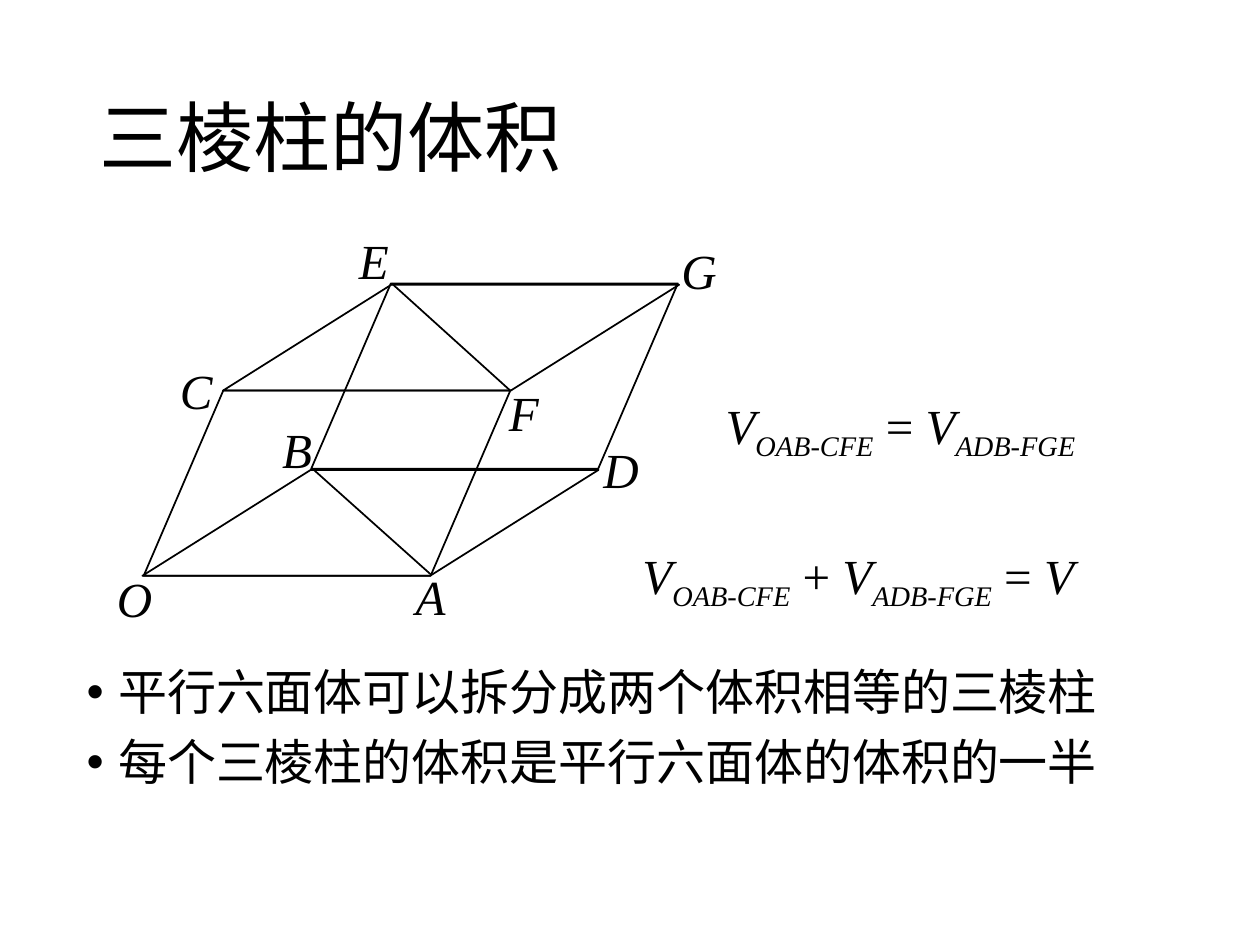
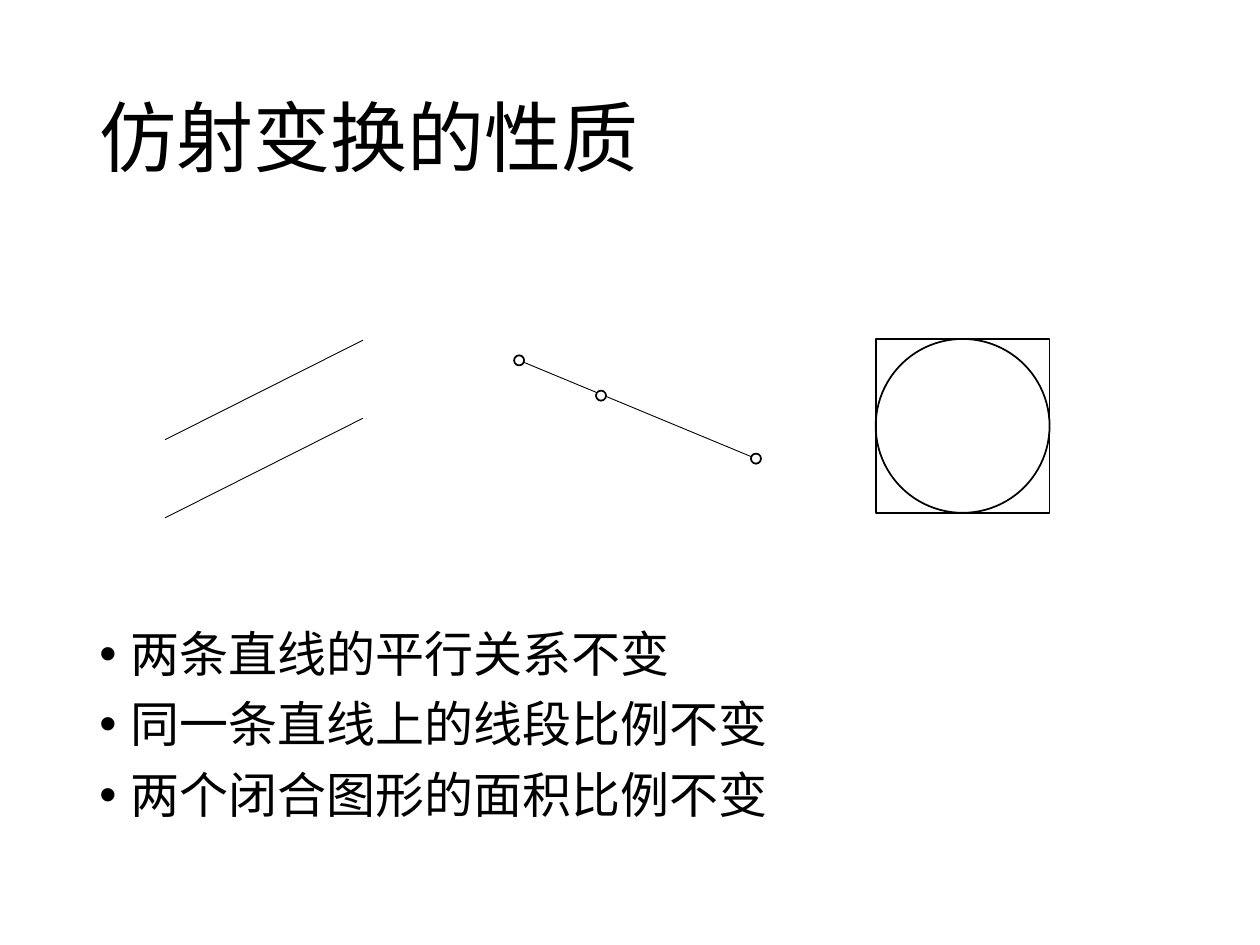
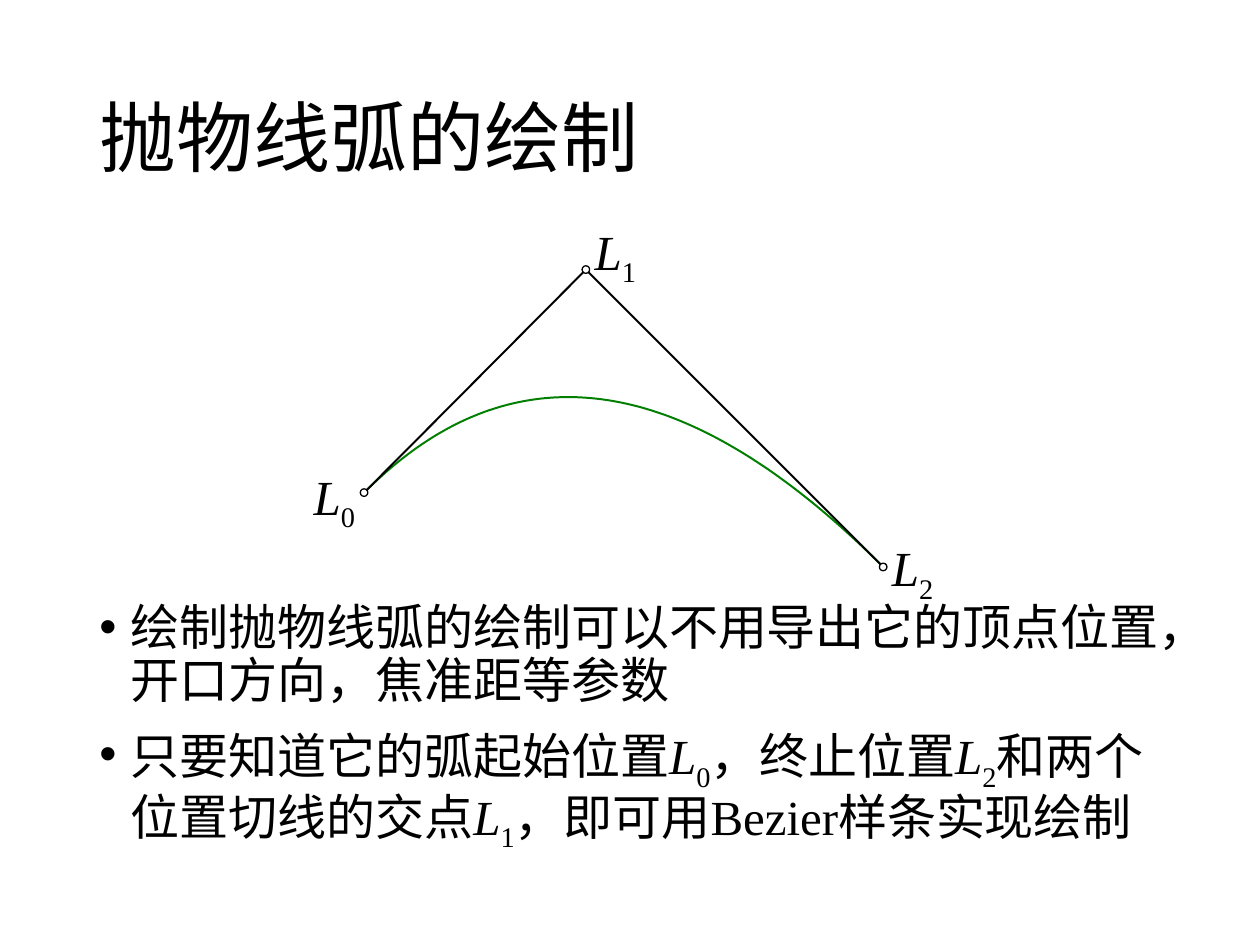
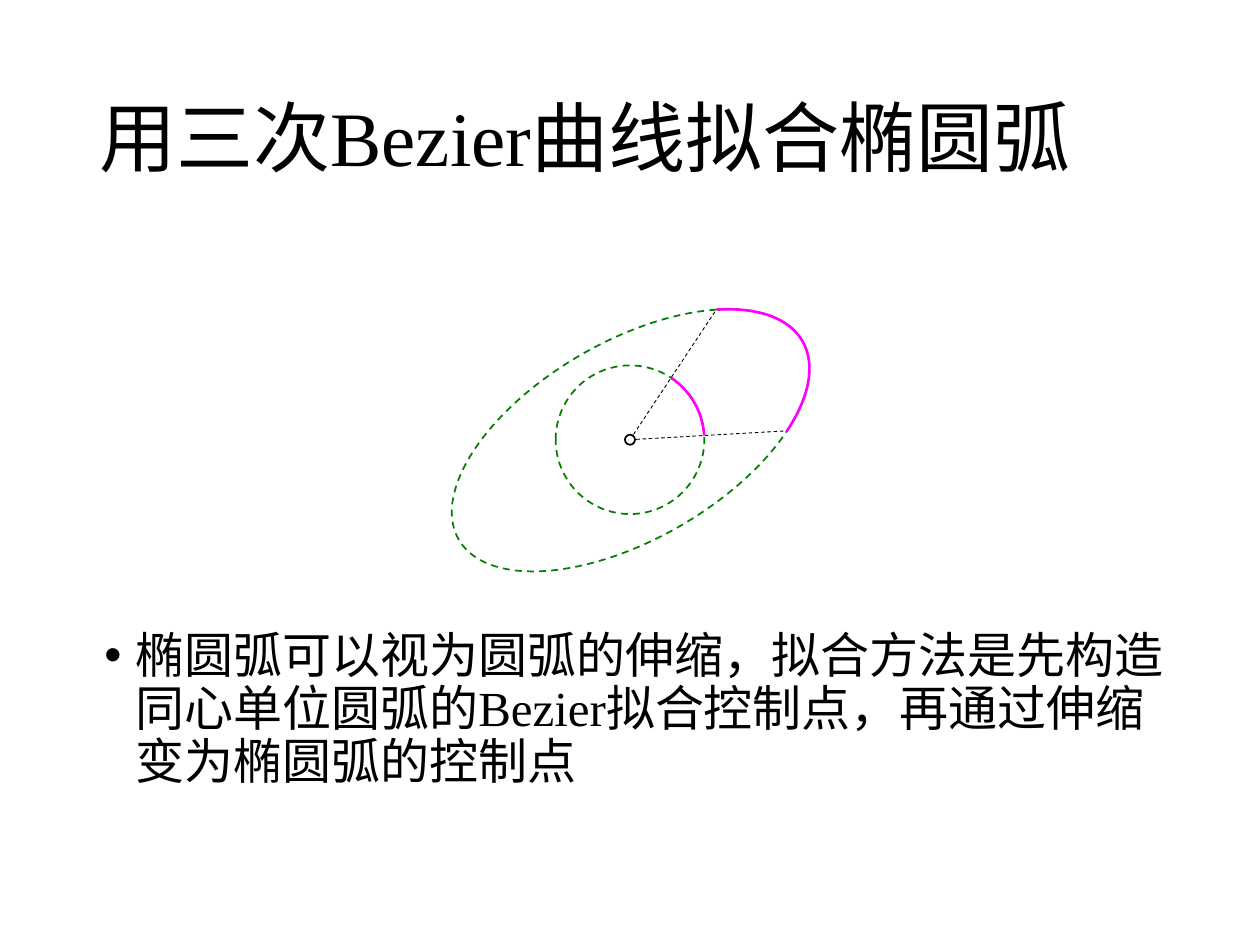
from lxml import etree
from pptx import Presentation
from pptx.dml.color import RGBColor
from pptx.enum.dml import MSO_LINE
from pptx.enum.lang import MSO_LANGUAGE_ID as Language
from pptx.enum.shapes import MSO_CONNECTOR, MSO_SHAPE as Shape
from pptx.enum.text import MSO_ANCHOR, MSO_AUTO_SIZE as AutoSize
from pptx.oxml.ns import qn
from pptx.util import Inches, Pt

BLACK = RGBColor(0x00, 0x00, 0x00)
WHITE = RGBColor(0xFF, 0xFF, 0xFF)
GREEN = RGBColor(0x00, 0x7F, 0x00)
MAGENTA = RGBColor(0xFF, 0x00, 0xFF)
SANS = "Noto Sans CJK SC"
SERIF = "Times New Roman"
TITLE_AREA = (0.69, 0.4, 8.62, 1.45)
TITLE_SIZE, BODY_SIZE = 44, 28
LABEL_HEIGHT = 0.57
ITALIC = {"italic": True}
SUB = {"sub": True}
ITALIC_SUB = {"italic": True, "sub": True}


def add_span(para, text, size=BODY_SIZE, font=SERIF, italic=False, sub=False):
    span = para.add_run()
    span.text = text
    span.font.size = Pt(size)
    span.font.name = font
    span.font.italic = italic
    span.font.color.rgb = BLACK
    span.font.language_id = Language.SIMPLIFIED_CHINESE
    properties = span.font._element
    if sub:
        properties.set("baseline", "-25000")
    etree.SubElement(properties, qn("a:ea")).set("typeface", SANS)


def add_bullet(para):
    properties = para._p.get_or_add_pPr()
    properties.set("marL", str(Inches(0.25)))
    properties.set("indent", str(-Inches(0.25)))
    etree.SubElement(properties, qn("a:buFont")).set("typeface", "Arial")
    etree.SubElement(properties, qn("a:buChar")).set("char", "•")


def add_text(page, area, paragraphs, size=BODY_SIZE, font=SERIF, bullet=False,
             spacing=None, before=None, anchor=MSO_ANCHOR.TOP, wrap=True, grow=False):
    box = page.shapes.add_textbox(*map(Inches, area))
    frame = box.text_frame
    frame.word_wrap = wrap
    frame.vertical_anchor = anchor
    frame.auto_size = AutoSize.SHAPE_TO_FIT_TEXT if grow else AutoSize.NONE
    for index, spans in enumerate(paragraphs):
        para = frame.add_paragraph() if index else frame.paragraphs[0]
        if spacing:
            para.line_spacing = spacing
        if before:
            para.space_before = Pt(before)
        if bullet:
            add_bullet(para)
        for text, style in spans:
            add_span(para, text, size=size, font=font, **style)


def add_page(deck, title, font=SANS):
    page = deck.slides.add_slide(deck.slide_layouts[6])
    add_text(page, TITLE_AREA, [[(title, {})]], size=TITLE_SIZE, font=font,
             spacing=0.9, anchor=MSO_ANCHOR.MIDDLE)
    return page


def add_bullets(page, area, paragraphs, font=SANS):
    add_text(page, area, paragraphs, font=font, bullet=True, spacing=0.9, before=10)


def add_label(page, left, top, width, spans, wrap=False):
    add_text(page, (left, top, width, LABEL_HEIGHT), [spans], wrap=wrap, grow=True)


def set_line(line, color, weight, dashed):
    line.color.rgb = color
    line.width = Pt(weight)
    if dashed:
        line.dash_style = MSO_LINE.DASH


def add_outline(page, kind, area, color=BLACK, weight=1, dashed=False,
                fill=None, rotation=0, adjust=()):
    shape = page.shapes.add_shape(kind, *map(Inches, area))
    shape.shadow.inherit = False
    shape.rotation = rotation
    for index, value in enumerate(adjust):
        shape.adjustments[index] = value
    if fill is None:
        shape.fill.background()
    else:
        shape.fill.solid()
        shape.fill.fore_color.rgb = fill
    set_line(shape.line, color, weight, dashed)


def add_line(page, start, end, weight=1, dashed=False):
    line = page.shapes.add_connector(MSO_CONNECTOR.STRAIGHT, *map(Inches, start + end))
    set_line(line.line, BLACK, weight, dashed)
    etree.SubElement(line._element.spPr, qn("a:effectLst"))


def add_dot(page, center, size=0.08, weight=1):
    x, y = center
    add_outline(page, Shape.OVAL, (x - size / 2, y - size / 2, size, size),
                weight=weight, fill=WHITE)


def add_arc(page, area, start, end, rotation=0):
    adjust = [degrees * 60000 / 100000 for degrees in (start, end)]
    add_outline(page, Shape.ARC, area, color=MAGENTA, weight=1.5,
                rotation=rotation, adjust=adjust)


def add_parabola(page, start, control, end, steps=120):
    points = []
    for step in range(steps + 1):
        t = step / steps
        points.append(tuple(
            Inches((1 - t) ** 2 * a + 2 * t * (1 - t) * b + t ** 2 * c)
            for a, b, c in zip(start, control, end)))
    builder = page.shapes.build_freeform(*points[0])
    builder.add_line_segments(points[1:], close=False)
    curve = builder.convert_to_shape()
    curve.shadow.inherit = False
    curve.fill.background()
    set_line(curve.line, GREEN, 1.13, False)


def build_prism(deck):
    page = add_page(deck, "三棱柱的体积")
    add_bullets(page, (0.59, 5.25, 9, 1.26), [
        [("平行六面体可以拆分成两个体积相等的三棱柱", {})],
        [("每个三棱柱的体积是平行六面体的体积的一半", {})],
    ])
    for left, top in ((1.14, 3.1), (2.47, 2.25)):
        add_outline(page, Shape.PARALLELOGRAM, (left, top, 2.91, 1.47), adjust=[0.43])
    for left, top in ((1.13, 3.73), (1.77, 2.26)):
        add_outline(page, Shape.PARALLELOGRAM, (left, top, 3.62, 0.84), adjust=[1.59])
    add_line(page, (3.11, 2.25), (4.05, 3.1))
    add_line(page, (2.48, 3.72), (3.42, 4.56))
    vertices = [
        ("O", 0.83, 4.46, 0.49), ("C", 1.33, 2.81, 0.46),
        ("D", 4.69, 3.44, 0.49), ("A", 3.2, 4.45, 0.44),
        ("B", 2.14, 3.28, 0.44), ("E", 2.75, 1.78, 0.44),
        ("F", 3.94, 2.99, 0.44), ("G", 5.31, 1.86, 0.49),
    ]
    for name, left, top, width in vertices:
        add_label(page, left, top, width, [(name, ITALIC)])
    volume = ("V", ITALIC)
    first = [volume, ("OAB-CFE", ITALIC_SUB)]
    second = [volume, ("ADB-FGE", ITALIC_SUB)]
    equals = (" = ", {})
    add_label(page, 5.66, 3.09, 3.39, first + [equals] + second, wrap=True)
    add_label(page, 5, 4.28, 4.05,
              first + [(" + ", {})] + second + [equals, volume], wrap=True)


def build_affine(deck):
    page = add_page(deck, "仿射变换的性质")
    add_bullets(page, (0.69, 4.95, 8.62, 1.8), [
        [("两条直线的平行关系不变", {})],
        [("同一条直线上的线段比例不变", {})],
        [("两个闭合图形的面积比例不变", {})],
    ])
    for top in (2.7, 3.32):
        add_line(page, (1.31, top + 0.79), (2.88, top), weight=0.5)
    ends = (4.12, 2.86), (6, 3.64)
    add_line(page, *ends, weight=0.5)
    for center in (ends[0], (4.77, 3.14), ends[1]):
        add_dot(page, center)
    for kind in (Shape.RECTANGLE, Shape.OVAL):
        add_outline(page, kind, (6.95, 2.69, 1.38, 1.38))


def build_parabola(deck):
    page = add_page(deck, "抛物线弧的绘制")
    add_bullets(page, (0.69, 4.74, 8.62, 2.14), [
        [("绘制抛物线弧的绘制可以不用导出它的顶点位置，开口方向，焦准距等参数", {})],
        [("只要知道它的弧起始位置", {}), ("L", ITALIC), ("0", SUB),
         ("，终止位置", {}), ("L", ITALIC), ("2", SUB),
         ("和两个位置切线的交点", {}), ("L", ITALIC), ("1", SUB),
         ("，即可用Bezier样条实现绘制", {})],
    ], font=SERIF)
    controls = [(2.89, 3.91), (4.65, 2.14), (7.01, 4.5)]
    add_parabola(page, *controls)
    for start, end in zip(controls, controls[1:]):
        add_line(page, start, end, weight=1.13)
    for center in controls:
        add_dot(page, center, size=0.06, weight=0.75)
    labels = [(2.39, 3.65), (4.62, 1.71), (6.98, 4.22)]
    for index, (left, top) in enumerate(labels):
        add_label(page, left, top, 0.55, [("L", ITALIC), (str(index), SUB)])


def build_ellipse(deck):
    page = add_page(deck, "用三次Bezier曲线拟合椭圆弧", font=SERIF)
    add_bullets(page, (0.73, 4.96, 8.62, 1.62), [
        [("椭圆弧可以视为圆弧的伸缩，拟合方法是先构造同心单位圆弧的Bezier拟合控制点，"
          "再通过伸缩变为椭圆弧的控制点", {})],
    ], font=SERIF)
    center = (5, 3.49)
    ellipse, circle = (3.43, 2.71, 3.15, 1.57), (4.41, 2.9, 1.18, 1.18)
    for area, rotation in ((ellipse, 330), (circle, 0)):
        add_outline(page, Shape.OVAL, area, color=GREEN, dashed=True, rotation=rotation)
    for end in ((6.24, 3.42), (5.69, 2.45)):
        add_line(page, center, end, weight=0.5, dashed=True)
    add_dot(page, center)
    add_arc(page, ellipse, 333.49, 26.6, rotation=330)
    add_arc(page, circle, 303.86, 356.77)


def main():
    deck = Presentation()
    deck.slide_width, deck.slide_height = Inches(10), Inches(7.5)
    build_prism(deck)
    build_affine(deck)
    build_parabola(deck)
    build_ellipse(deck)
    deck.save("out.pptx")


if __name__ == "__main__":
    main()
